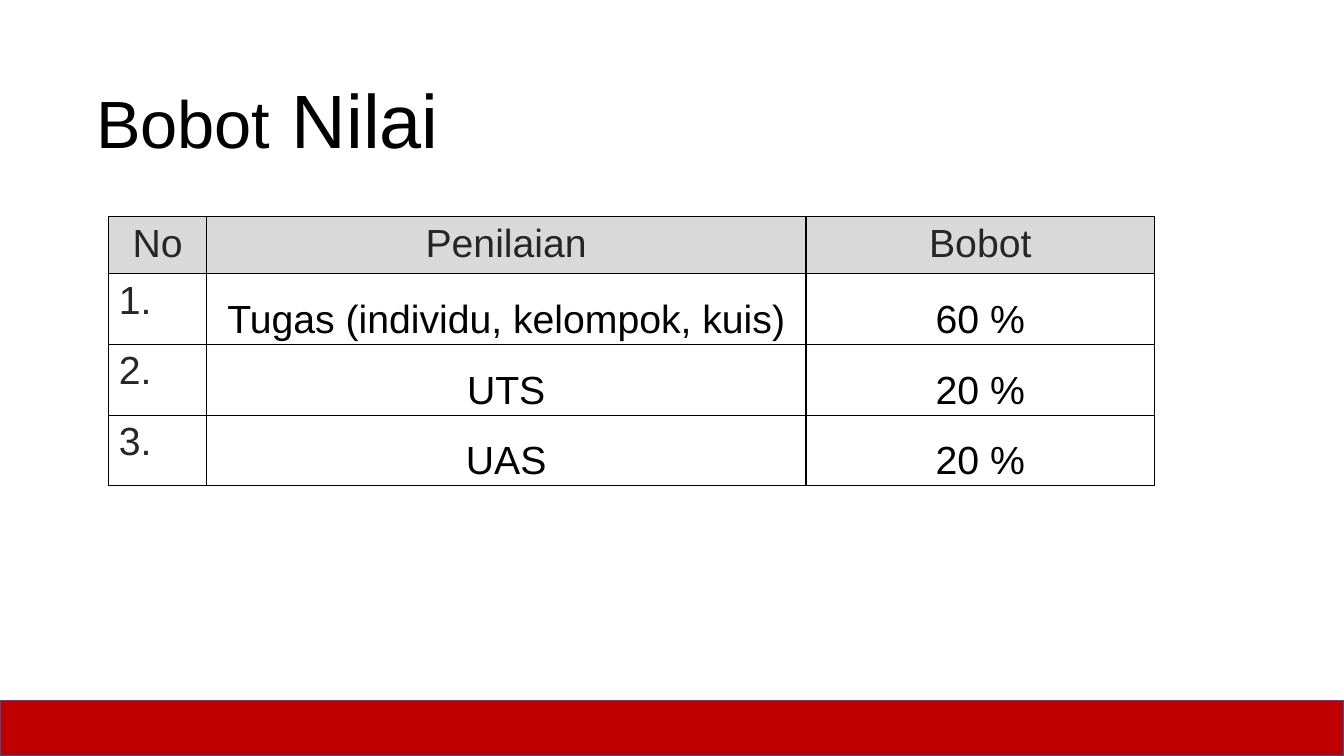
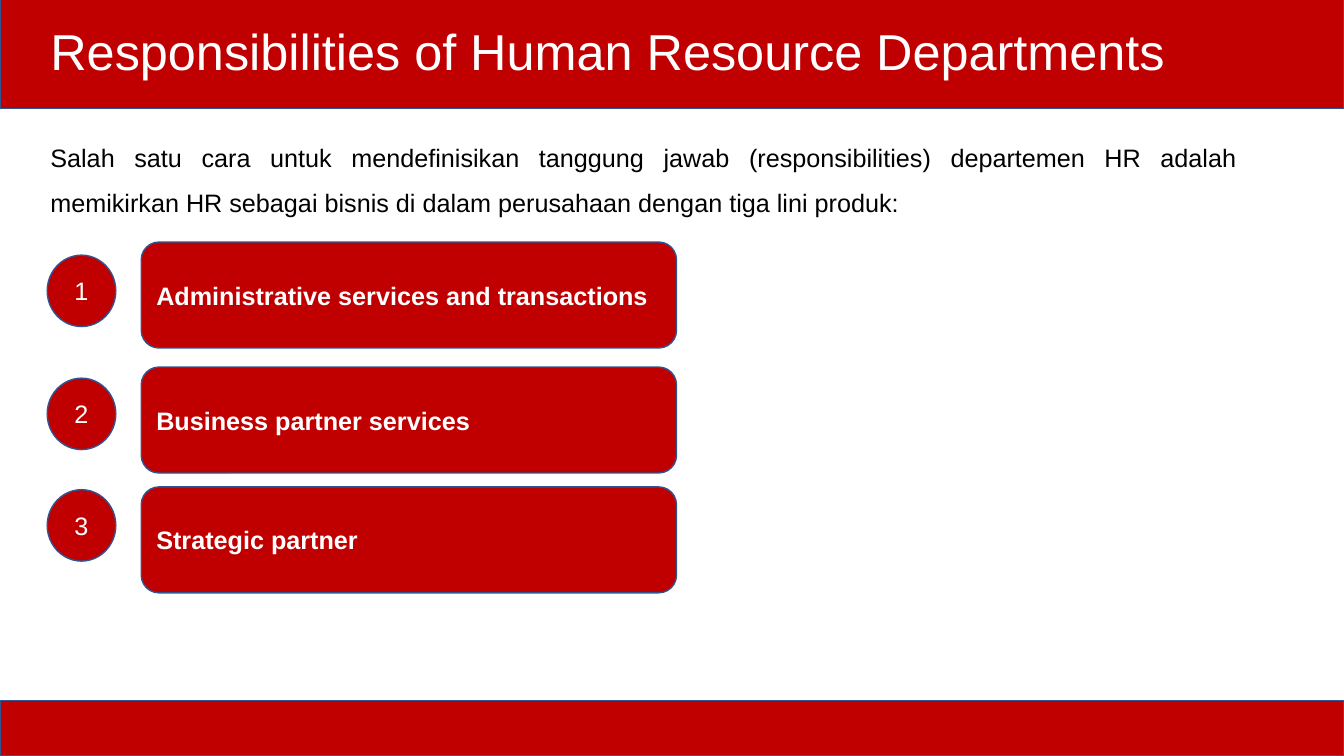
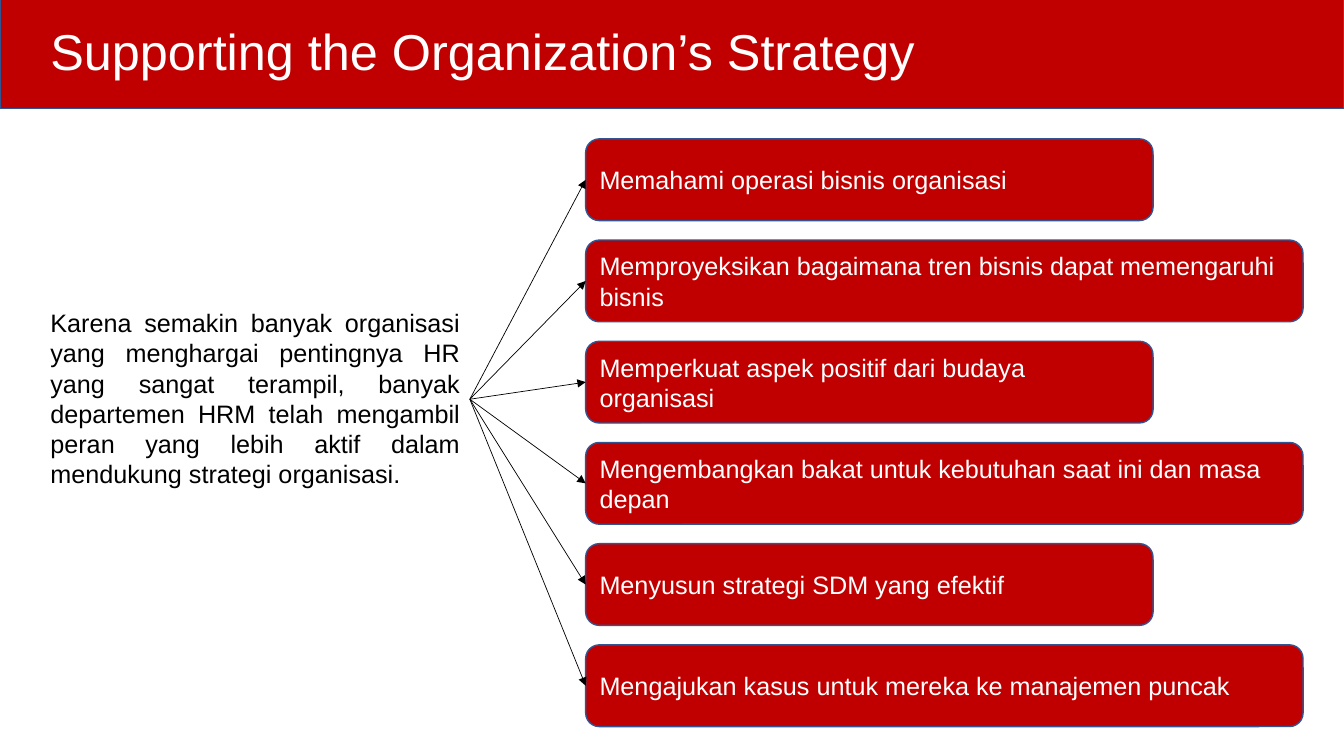
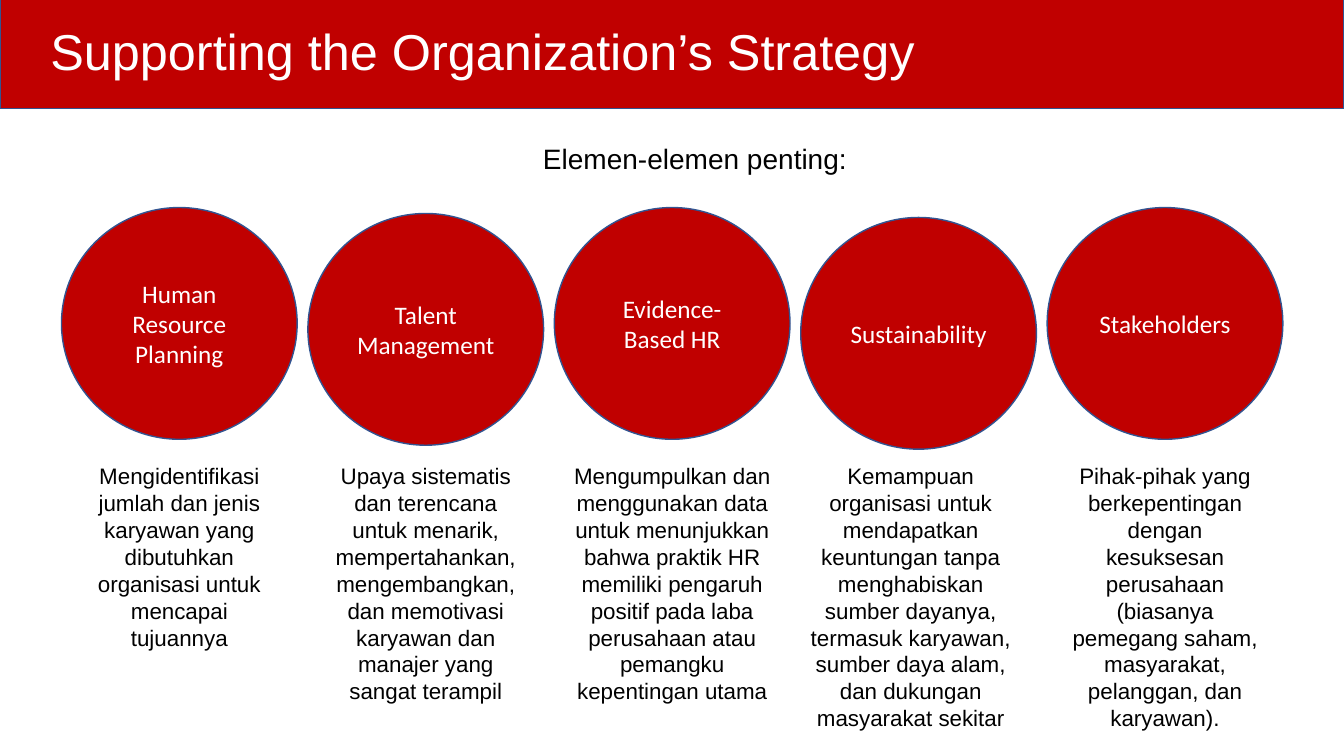
from dataclasses import dataclass

from lxml.etree import SubElement
from pptx import Presentation
from pptx.dml.color import RGBColor
from pptx.enum.shapes import MSO_CONNECTOR as Connector, MSO_SHAPE as Shape
from pptx.enum.text import MSO_ANCHOR as Anchor, PP_ALIGN as Align
from pptx.oxml import parse_xml
from pptx.oxml.ns import nsdecls, qn
from pptx.util import Cm, Pt

COLORS = {
    "red": "C00000",
    "edge": "325491",
    "black": "000000",
    "white": "FFFFFF",
    "ink": "262626",
    "header": "D9D9D9",
}
BODY_FONT = "Arial"
CIRCLE_FONT = "Calibri"


@dataclass
class Box:
    left: float
    top: float
    width: float
    height: float

    def lengths(self):
        return Cm(self.left), Cm(self.top), Cm(self.width), Cm(self.height)


PAGE = Box(0, 0, 33.87, 19.05)
HEADER = Box(0, -0.08, PAGE.width, 2.82)
FOOTER = Box(0, 17.65, PAGE.width, 1.4)

GRADES = [
    ("No", "Penilaian", "Bobot"),
    ("1.", "Tugas (individu, kelompok, kuis)", "60 %"),
    ("2.", "UTS", "20 %"),
    ("3.", "UAS", "20 %"),
]
DUTIES = [
    ("Administrative services and transactions", 0, 0.33),
    ("Business partner services", 3.15, 3.43),
    ("Strategic partner", 6.17, 6.24),
]
ROLES = [
    "Memahami operasi bisnis organisasi",
    "Memproyeksikan bagaimana tren bisnis dapat memengaruhi bisnis",
    "Memperkuat aspek positif dari budaya organisasi",
    "Mengembangkan bakat untuk kebutuhan saat ini dan masa depan",
    "Menyusun strategi SDM yang efektif",
    "Mengajukan kasus untuk mereka ke manajemen puncak",
]
ELEMENTS = [
    ("Human Resource Planning", 0, 0, 5.05,
     "Mengidentifikasi jumlah dan jenis karyawan yang dibutuhkan organisasi "
     "untuk mencapai tujuannya"),
    ("Talent Management", 0.15, 0, 5.51,
     "Upaya sistematis dan terencana untuk menarik, mempertahankan, "
     "mengembangkan, dan memotivasi karyawan dan manajer yang sangat terampil"),
    ("Evidence-Based HR", 0, 0, 5.94,
     "Mengumpulkan dan menggunakan data untuk menunjukkan bahwa praktik HR "
     "memiliki pengaruh positif pada laba perusahaan atau pemangku "
     "kepentingan utama"),
    ("Sustainability", 0.25, -0.2, 5.94,
     "Kemampuan organisasi untuk mendapatkan keuntungan tanpa menghabiskan "
     "sumber dayanya, termasuk karyawan, sumber daya alam, dan dukungan "
     "masyarakat sekitar"),
    ("Stakeholders", 0, 0, 5.23,
     "Pihak-pihak yang berkepentingan dengan kesuksesan perusahaan (biasanya "
     "pemegang saham, masyarakat, pelanggan, dan karyawan)."),
]


def rgb(color):
    return RGBColor.from_string(COLORS[color])


def style_font(font, size, color, name=BODY_FONT, bold=False):
    font.name = name
    font.size = Pt(size)
    font.bold = bold
    font.color.rgb = rgb(color)


def write(frame, text, size, color, align=Align.LEFT, spacing=None, **style):
    frame.text = text
    paragraph = frame.paragraphs[0]
    paragraph.alignment = align
    paragraph.line_spacing = spacing
    style_font(paragraph.runs[0].font, size, color, **style)
    return paragraph


def add_panel(slide, kind, box):
    panel = slide.shapes.add_shape(kind, *box.lengths())
    panel.shadow.inherit = False
    panel.fill.solid()
    panel.fill.fore_color.rgb = rgb("red")
    panel.line.color.rgb = rgb("edge")
    panel.line.width = Pt(1)
    return panel


def add_label(slide, kind, box, text, align=Align.LEFT, **style):
    frame = add_panel(slide, kind, box).text_frame
    frame.word_wrap = True
    frame.vertical_anchor = Anchor.MIDDLE
    write(frame, text, 18, "white", align, **style)


def add_text(slide, box, text, size, color="black", align=Align.LEFT,
             spacing=None, anchor=Anchor.TOP):
    frame = slide.shapes.add_textbox(*box.lengths()).text_frame
    frame.word_wrap = True
    frame.vertical_anchor = anchor
    return write(frame, text, size, color, align, spacing)


def add_heading(slide, text):
    add_panel(slide, Shape.RECTANGLE, HEADER)
    box = Box(HEADER.left + 1.02, HEADER.top + 0.44, 29.82, 1.83)
    add_text(slide, box, text, 36, "white", spacing=0.9, anchor=Anchor.BOTTOM)


def add_footer(slide):
    add_panel(slide, Shape.RECTANGLE, FOOTER)


def add_arrow(slide, start, end):
    arrow = slide.shapes.add_connector(
        Connector.STRAIGHT, *(Cm(value) for value in (*start, *end)))
    arrow.line.color.rgb = rgb("black")
    arrow.line.width = Pt(0.5)
    properties = arrow._element.spPr
    SubElement(properties.find(qn("a:ln")), qn("a:tailEnd"), type="triangle")
    SubElement(properties, qn("a:effectLst"))


def border_cell(cell):
    properties = cell._tc.get_or_add_tcPr()
    for index, side in enumerate(("lnL", "lnR", "lnT", "lnB")):
        properties.insert(index, parse_xml(
            f'<a:{side} {nsdecls("a")} w="{Pt(1)}"><a:solidFill>'
            f'<a:srgbClr val="{COLORS["black"]}"/></a:solidFill></a:{side}>'))


def fill_cell(cell, text, is_header, is_number):
    if is_header:
        cell.fill.solid()
        cell.fill.fore_color.rgb = rgb("header")
    else:
        cell.fill.background()
    is_value = not (is_header or is_number)
    if is_value:
        cell.vertical_anchor = Anchor.MIDDLE
        cell.margin_left = cell.margin_right = Cm(0.18)
        cell.margin_top = cell.margin_bottom = 0
    write(cell.text_frame, text, 28, "black" if is_value else "ink",
          Align.CENTER if is_header or is_value else Align.LEFT,
          1.5 if is_value else None)
    border_cell(cell)


def add_grades(slide, box):
    table = slide.shapes.add_table(
        len(GRADES), len(GRADES[0]), *box.lengths()).table
    table.first_row = table.horz_banding = False
    number_width, weight_width = 2.46, 8.79
    widths = (number_width, box.width - number_width - weight_width, weight_width)
    for column, width in zip(table.columns, widths):
        column.width = Cm(width)
    header_height = 1.36
    row_height = (box.height - header_height) / (len(GRADES) - 1)
    for row_index, texts in enumerate(GRADES):
        table.rows[row_index].height = Cm(row_height if row_index else header_height)
        for column_index, text in enumerate(texts):
            fill_cell(table.cell(row_index, column_index), text,
                      row_index == 0, column_index == 0)


def add_duties(slide, box):
    for number, (duty, card_drop, badge_drop) in enumerate(DUTIES, 1):
        card = Box(box.left + 2.37, box.top + card_drop, box.width - 2.37, 2.67)
        badge = Box(box.left, box.top + badge_drop, 1.73, 1.8)
        add_label(slide, Shape.ROUNDED_RECTANGLE, card, duty, bold=True)
        add_label(slide, Shape.OVAL, badge, str(number), Align.CENTER)


def add_roles(slide, box, origin):
    card_height = 2.06
    pitch = (box.height - card_height) / (len(ROLES) - 1)
    for index, role in enumerate(ROLES):
        width = box.width if index % 2 else 14.3
        card = Box(box.left, box.top + index * pitch, width, card_height)
        add_label(slide, Shape.ROUNDED_RECTANGLE, card, role)
        add_arrow(slide, origin, (card.left, card.top + card_height / 2))


def add_elements(slide, box):
    diameter, circle_height, text_drop = 5.94, 5.84, 6.3
    pitch = (box.width - diameter) / (len(ELEMENTS) - 1)
    for index, (element, drop, shift, text_width, meaning) in enumerate(ELEMENTS):
        left = box.left + index * pitch
        circle = Box(left, box.top + drop, diameter, circle_height)
        text_left = left + (diameter - text_width) / 2 + shift
        caption = Box(text_left, box.top + text_drop, text_width,
                      box.height - text_drop)
        add_label(slide, Shape.OVAL, circle, element, Align.CENTER,
                  name=CIRCLE_FONT)
        add_text(slide, caption, meaning, 16, align=Align.CENTER)


def build_grading(slide):
    add_footer(slide)
    title = add_text(slide, Box(2.08, 2.44, 9.32, 1.83), "Bobot", 47.7,
                     align=Align.CENTER, spacing=0.9, anchor=Anchor.BOTTOM)
    emphasis = title.add_run()
    emphasis.text = " Nilai"
    style_font(emphasis.font, 54, "black")
    add_grades(slide, Box(2.74, 5.46, 26.36, 6.31))


def build_responsibilities(slide):
    add_footer(slide)
    add_heading(slide, "Responsibilities of Human Resource Departments")
    add_text(slide, Box(1.02, 3.07, 30.4, 2.41),
             "Salah satu cara untuk mendefinisikan tanggung jawab "
             "(responsibilities) departemen HR adalah memikirkan HR sebagai "
             "bisnis di dalam perusahaan dengan tiga lini produk:",
             18, align=Align.JUSTIFY, spacing=1.5)
    add_duties(slide, Box(1.19, 6.1, 15.86, 8.84))


def build_strategy(slide):
    add_heading(slide, "Supporting the Organization’s Strategy")
    reason = Box(1.02, 7.62, 10.82, 4.88)
    add_text(slide, reason,
             "Karena semakin banyak organisasi yang menghargai pentingnya HR "
             "yang sangat terampil, banyak departemen HRM telah mengambil "
             "peran yang lebih aktif dalam mendukung strategi organisasi.",
             18, align=Align.JUSTIFY)
    origin = (reason.left + reason.width, reason.top + reason.height / 2)
    add_roles(slide, Box(14.76, 3.5, 18.08, 14.81), origin)


def build_elements(slide):
    add_heading(slide, "Supporting the Organization’s Strategy")
    add_text(slide, Box(9.12, 3.43, 16.79, 1.12), "Elemen-elemen penting:",
             20, align=Align.CENTER)
    add_elements(slide, Box(1.55, 5.23, 30.78, 13.39))


def main():
    deck = Presentation()
    deck.slide_width, deck.slide_height = Cm(PAGE.width), Cm(PAGE.height)
    blank = deck.slide_layouts[6]
    for build in (build_grading, build_responsibilities, build_strategy,
                  build_elements):
        build(deck.slides.add_slide(blank))
    deck.save("out.pptx")


if __name__ == "__main__":
    main()
